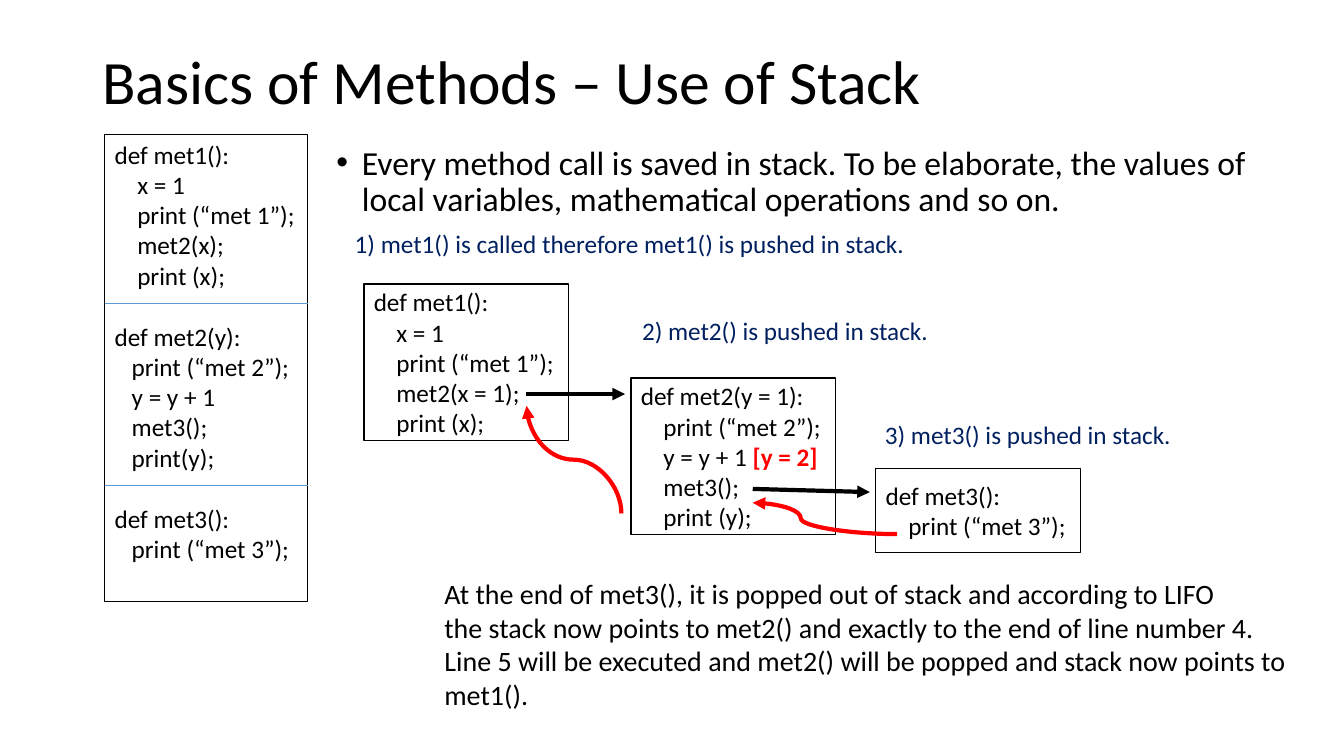
"""Build a slide on how method calls are pushed to and popped from the stack."""
from lxml import etree
from pptx import Presentation
from pptx.dml.color import RGBColor
from pptx.enum.shapes import MSO_CONNECTOR as LINE, MSO_SHAPE
from pptx.enum.text import MSO_ANCHOR as ANCHOR
from pptx.oxml.ns import qn
from pptx.util import Cm, Pt

COLORS = {"black": "000000", "navy": "002060", "red": "FF0000", "blue": "5B9BD5"}


def write(frame, text, size=18, color="black", indent=0, hanging=0, before=0, highlight=""):
    """Add one paragraph, with an optional bold red ending."""
    paragraph = frame.add_paragraph() if frame.text else frame.paragraphs[0]
    paragraph.space_before = Pt(before)
    properties = paragraph._p.get_or_add_pPr()
    properties.set("marL", str(Cm(indent)))
    properties.set("indent", str(-Cm(hanging)))
    properties.set("algn", "l")
    for words, shade in ((text, color), (highlight, "red")):
        if words:
            run = paragraph.add_run()
            run.text = words
            run.font.name = "Calibri"
            run.font.size = Pt(size)
            run.font.bold = words == highlight
            run.font.color.rgb = RGBColor.from_string(COLORS[shade])
    return paragraph


def connect(kind, start, end, color, width, arrow=True):
    """Draw a connector between two points given in centimetres."""
    connector = slide.shapes.add_connector(kind, *map(Cm, start + end))
    connector.line.color.rgb = RGBColor.from_string(COLORS[color])
    connector.line.width = Pt(width)
    if arrow:
        etree.SubElement(connector.line._get_or_add_ln(), qn("a:tailEnd"), type="triangle")
    etree.SubElement(connector.element.spPr, qn("a:effectLst"))
    return connector


presentation = Presentation()
presentation.slide_width, presentation.slide_height = Cm(33.87), Cm(19.05)
slide = presentation.slides.add_slide(presentation.slide_layouts[6])

title = slide.shapes.add_textbox(Cm(2.33), Cm(1.02), Cm(29.21), Cm(2.24)).text_frame
title.word_wrap = True
title.vertical_anchor = ANCHOR.MIDDLE
write(title, "Basics of Methods – Use of Stack", size=44).line_spacing = 0.9

summary = slide.shapes.add_textbox(Cm(8.23), Cm(3.56), Cm(23.75), Cm(2.21)).text_frame
summary.word_wrap = True
bullet = write(
    summary,
    "Every method call is saved in stack. To be elaborate, the values of "
    "local variables, mathematical operations and so on.",
    size=24, indent=0.64, hanging=0.64, before=10)
bullet.line_spacing = 0.9
bullet_properties = bullet._p.get_or_add_pPr()
etree.SubElement(bullet_properties, qn("a:buFont"), typeface="Arial")
etree.SubElement(bullet_properties, qn("a:buChar"), char="•")

MET1 = ("def met1():", ["x = 1", "print (“met 1”);", "met2(x);", "print (x);"], 0.57)
MET2 = ("def met2(y):", ["print (“met 2”);", "y = y + 1", "met3();", "print(y);"], 0.43)
MET3 = ("def met3():", ["print (“met 3”);"], 0.43)
CALL1 = ("def met1():", ["x = 1", "print (“met 1”);", "met2(x = 1);", "print (x);"], 0.57)
CALL2 = ("def met2(y = 1):", ["print (“met 2”);", "y = y + 1 ", "met3();", "print (y);"], 0.57)
CALL3 = ("def met3():", ["print (“met 3”);"], 0.57)

code_boxes = [
    (2.64, 3.38, 5.11, 11.79, 0.75, ANCHOR.TOP, [MET1, MET2, MET3]),
    (9.17, 7.16, 5.16, 3.94, 1, ANCHOR.MIDDLE, [CALL1]),
    (15.9, 9.53, 5.16, 3.94, 1, ANCHOR.MIDDLE, [CALL2]),
    (22.07, 11.81, 5.16, 2.11, 1, ANCHOR.MIDDLE, [CALL3]),
]
for left, top, width, height, border, anchor, methods in code_boxes:
    box = slide.shapes.add_shape(MSO_SHAPE.RECTANGLE, Cm(left), Cm(top), Cm(width), Cm(height))
    box.shadow.inherit = False
    box.fill.background()
    box.line.color.rgb = RGBColor.from_string(COLORS["black"])
    box.line.width = Pt(border)
    box.text_frame.word_wrap = True
    box.text_frame.vertical_anchor = anchor
    for number, (header, body, indent) in enumerate(methods):
        write(box.text_frame, header, before=22 if number else 0)
        for statement in body:
            changed = "[y = 2]" if statement.endswith("+ 1 ") else ""
            write(box.text_frame, statement, indent=indent, highlight=changed)

for divider_top in (7.65, 12.22):
    connect(LINE.STRAIGHT, (2.64, divider_top), (7.75, divider_top), "blue", 0.5, arrow=False)

notes = [
    (8.69, 5.64, 14.53, 1.02, 18, "navy",
     ["1) met1() is called therefore met1() is pushed in stack."]),
    (15.93, 7.82, 7.82, 1.02, 18, "navy", ["2) met2() is pushed in stack."]),
    (22.05, 10.44, 7.82, 1.02, 18, "navy", ["3) met3() is pushed in stack."]),
    (10.95, 14.4, 21.92, 3.68, 20, "black",
     ["At the end of met3(), it is popped out of stack and according to LIFO",
      "the stack now points to met2() and exactly to the end of line number 4.",
      "Line 5 will be executed and met2() will be popped and stack now points to",
      "met1()."]),
]
for left, top, width, height, size, color, lines in notes:
    note = slide.shapes.add_textbox(Cm(left), Cm(top), Cm(width), Cm(height)).text_frame
    note.word_wrap = False
    for line in lines:
        write(note, line, size=size, color=color)

connect(LINE.STRAIGHT, (13.26, 9.93), (15.75, 9.93), "black", 3)
connect(LINE.STRAIGHT, (18.97, 12.32), (21.92, 12.4), "black", 3)

return_to_met2 = connect(LINE.CURVE, (22.61, 13.46), (18.97, 12.67), "red", 3)
adjustments = return_to_met2.element.spPr.find(qn("a:prstGeom")).get_or_add_avLst()
etree.SubElement(adjustments, qn("a:gd"), name="adj1", fmla="val 66700")

return_to_met1 = connect(LINE.CURVE, (13.11, 12.78), (15.82, 10.39), "red", 3)
return_to_met1.element.spPr.find(qn("a:xfrm")).set("rot", str(270 * 60000))

presentation.save("out.pptx")
